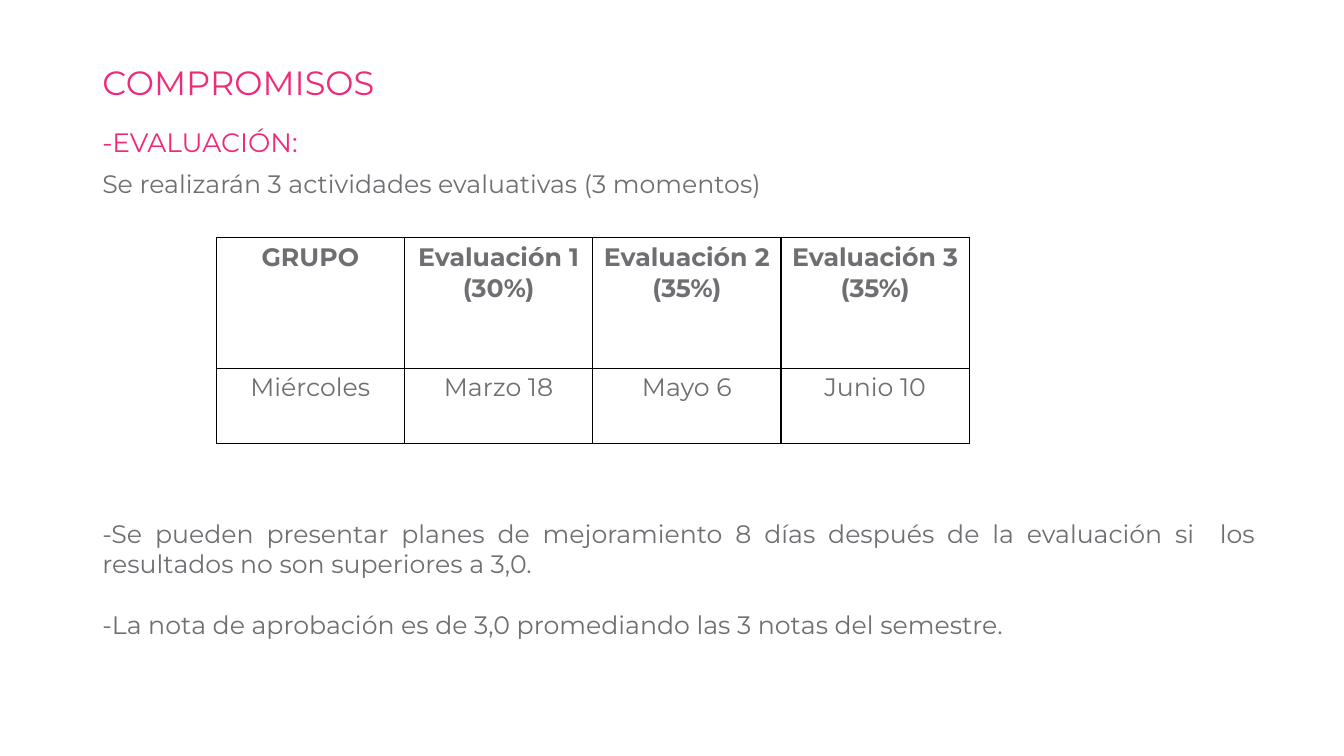
"""Build the slide on course commitments and the evaluation calendar."""
from dataclasses import dataclass

from lxml.etree import SubElement
from pptx import Presentation
from pptx.dml.color import RGBColor
from pptx.enum.text import MSO_ANCHOR as Anchor, PP_ALIGN as Align
from pptx.oxml.ns import qn
from pptx.slide import Slide
from pptx.table import _Cell as Cell
from pptx.text.text import TextFrame
from pptx.util import Pt

FONT = "Montserrat"
PINK = "EE2B7B"
GREY = "6E6F72"
BLACK = "000000"


@dataclass(frozen=True)
class Line:
    text: str
    size: float = 18
    color: str = GREY
    align: Align = Align.JUSTIFY
    bold: bool = False
    spacing: float = 1.0
    before: float = 0


@dataclass(frozen=True)
class Block:
    left: float
    top: float
    width: float
    height: float
    lines: tuple[Line, ...]


def rgb(value: str) -> RGBColor:
    """Turn a hex string into a colour."""
    return RGBColor.from_string(value)


def write_lines(frame: TextFrame, lines: tuple[Line, ...]) -> None:
    """Fill a text frame with one formatted paragraph per line."""
    frame.word_wrap = True
    frame.text = "\n".join(line.text for line in lines)
    for paragraph, line in zip(frame.paragraphs, lines):
        paragraph.alignment = line.align
        paragraph.line_spacing = line.spacing
        paragraph.space_before = Pt(line.before)
        for run in paragraph.runs:
            run.font.name = FONT
            run.font.size = Pt(line.size)
            run.font.bold = line.bold
            run.font.color.rgb = rgb(line.color)


def add_block(slide: Slide, block: Block) -> None:
    """Add a text box anchored at the top."""
    box = slide.shapes.add_textbox(
        Pt(block.left), Pt(block.top), Pt(block.width), Pt(block.height)
    )
    box.text_frame.vertical_anchor = Anchor.TOP
    write_lines(box.text_frame, block.lines)


def outline_cell(cell: Cell, color: str, width: float) -> None:
    """Draw all four borders of a cell without a fill."""
    cell.fill.background()
    properties = cell._tc.get_or_add_tcPr()
    for position, side in enumerate(("a:lnL", "a:lnR", "a:lnT", "a:lnB")):
        border = SubElement(properties, qn(side), w=str(Pt(width)))
        SubElement(SubElement(border, qn("a:solidFill")), qn("a:srgbClr"), val=color)
        properties.insert(position, border)


def add_calendar(slide: Slide) -> None:
    """Add the table of evaluation dates."""
    headings = (
        ("GRUPO",),
        ("Evaluación 1 (30%)",),
        ("Evaluación 2", "(35%)"),
        ("Evaluación 3", "(35%)"),
    )
    dates = ("Miércoles", "Marzo 18", "Mayo 6", "Junio 10")
    row_heights = (93.6, 54)
    calendar = slide.shapes.add_table(
        len(row_heights), len(dates), Pt(154.4), Pt(169.4), Pt(538), Pt(sum(row_heights))
    ).table
    calendar.first_row = False
    calendar.horz_banding = False
    for row, height in zip(calendar.rows, row_heights):
        row.height = Pt(height)
    for column, (heading, date) in enumerate(zip(headings, dates)):
        heading_cell, date_cell = calendar.cell(0, column), calendar.cell(1, column)
        write_lines(
            heading_cell.text_frame,
            tuple(Line(text, align=Align.CENTER, bold=True) for text in heading),
        )
        write_lines(
            date_cell.text_frame, (Line(date, align=Align.CENTER, before=2.5),)
        )
        date_cell.margin_left = date_cell.margin_right = date_cell.margin_bottom = Pt(0)
        date_cell.margin_top = Pt(2.9)
        for cell in (heading_cell, date_cell):
            outline_cell(cell, BLACK, 1)


BLOCKS = (
    Block(66, 44, 828, 40, (Line("COMPROMISOS", 24, PINK, Align.LEFT, spacing=0.9),)),
    Block(66, 88.8, 847.4, 80.6, (
        Line("-EVALUACIÓN:", 19, PINK, spacing=0.9, before=10),
        Line("Se realizarán 3 actividades evaluativas (3 momentos)",
             spacing=0.9, before=10),
    )),
    Block(66, 366.5, 838, 94.3, (
        Line("-Se pueden presentar planes de mejoramiento 8 días después de la "
             "evaluación si  los resultados no son superiores a 3,0."),
        Line("-La nota de aprobación es de 3,0 promediando las 3 notas del semestre.",
             before=22),
    )),
)


def main() -> None:
    """Create the presentation and save it."""
    deck = Presentation()
    deck.slide_width, deck.slide_height = Pt(960), Pt(540)
    slide = deck.slides.add_slide(deck.slide_layouts[6])
    for block in BLOCKS:
        add_block(slide, block)
    add_calendar(slide)
    deck.save("out.pptx")


if __name__ == "__main__":
    main()
